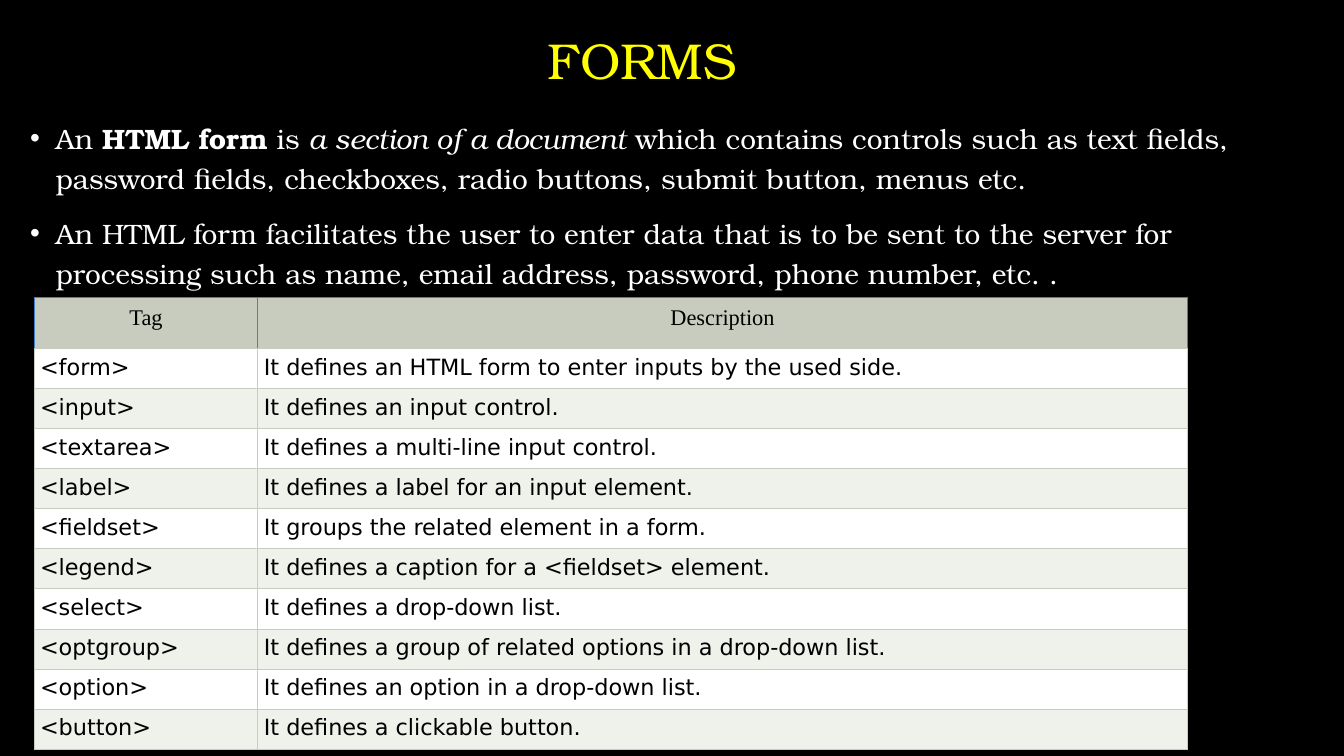
from dataclasses import dataclass

from lxml.etree import SubElement as Sub
from pptx import Presentation
from pptx.dml.color import RGBColor
from pptx.enum.text import MSO_AUTO_SIZE as Fit, PP_ALIGN as Align
from pptx.oxml.ns import qn
from pptx.util import Cm, Pt

BLACK = RGBColor(0, 0, 0)
WHITE = RGBColor(255, 255, 255)
YELLOW = RGBColor(255, 255, 0)
SAGE = RGBColor(0xC7, 0xCC, 0xBE)
PALE = RGBColor(0xEF, 0xF1, 0xEB)
BLUE = RGBColor(0x40, 0x80, 0xCC)
BONUM = "TeX Gyre Bonum"
SANS = "DejaVu Sans"
TIMES = "Times New Roman"


@dataclass
class Span:
    text: str
    bold: bool = False
    slant: bool = False


@dataclass
class Look:
    face: str
    size: float
    color: RGBColor


@dataclass
class Kind:
    look: Look
    inset: float
    align: Align
    edge: RGBColor


@dataclass
class Tag:
    name: str
    note: str


HEAD = Kind(Look(TIMES, 16, BLACK), 0.2, Align.CENTER, BLUE)
ENTRY = Kind(Look(SANS, 16, BLACK), 0.15, Align.LEFT, SAGE)
TITLE = Look(BONUM, 36, YELLOW)
BODY = Look(BONUM, 20, WHITE)

POINTS = [
    [
        Span("An "),
        Span("HTML form", bold=True),
        Span(" is "),
        Span("a section of a document", slant=True),
        Span(" which contains controls such as text fields, password fields, "
             "checkboxes, radio buttons, submit button, menus etc."),
    ],
    [
        Span("An HTML form facilitates the user to enter data that is to be sent "
             "to the server for processing such as name, email address, password, "
             "phone number, etc. ."),
    ],
]

TAGS = [
    Tag("<form>", "It defines an HTML form to enter inputs by the used side."),
    Tag("<input>", "It defines an input control."),
    Tag("<textarea>", "It defines a multi-line input control."),
    Tag("<label>", "It defines a label for an input element."),
    Tag("<fieldset>", "It groups the related element in a form."),
    Tag("<legend>", "It defines a caption for a <fieldset> element."),
    Tag("<select>", "It defines a drop-down list."),
    Tag("<optgroup>", "It defines a group of related options in a drop-down list."),
    Tag("<option>", "It defines an option in a drop-down list."),
    Tag("<button>", "It defines a clickable button."),
]


def style(run, look: Look) -> None:
    run.font.name = look.face
    run.font.size = Pt(look.size)
    run.font.color.rgb = look.color


def add_title(slide) -> None:
    frame = slide.shapes.add_textbox(Cm(4.04), Cm(0.61), Cm(24.28), Cm(1.8)).text_frame
    frame.word_wrap = True
    frame.auto_size = Fit.SHAPE_TO_FIT_TEXT
    frame.text = "FORMS"
    para = frame.paragraphs[0]
    para.alignment = Align.CENTER
    style(para.runs[0], TITLE)


def add_point(para, spans: list[Span], gap: float) -> None:
    props = para._p.get_or_add_pPr()
    props.set("marL", str(Cm(0.64)))
    props.set("indent", str(-Cm(0.64)))
    Sub(props, qn("a:buClr")).append(props.makeelement(qn("a:srgbClr"), {"val": str(WHITE)}))
    Sub(props, qn("a:buFont"), typeface="Arial")
    Sub(props, qn("a:buChar"), char="•")
    para.line_spacing = 1.2
    para.space_before = Pt(gap)
    for span in spans:
        run = para.add_run()
        run.text = span.text
        style(run, BODY)
        run.font.bold = span.bold
        run.font.italic = span.slant


def add_body(slide) -> None:
    frame = slide.shapes.add_textbox(Cm(0.51), Cm(2.77), Cm(32.44), Cm(15.54)).text_frame
    frame.word_wrap = True
    for i, spans in enumerate(POINTS):
        para = frame.add_paragraph() if i else frame.paragraphs[0]
        add_point(para, spans, 10 if i else 0)


def fill_cell(cell, text: str, kind: Kind, fill: RGBColor) -> None:
    cell.text = text
    cell.margin_left = cell.margin_right = Cm(kind.inset)
    cell.margin_top = cell.margin_bottom = Cm(kind.inset)
    para = cell.text_frame.paragraphs[0]
    para.alignment = kind.align
    style(para.runs[0], kind.look)
    props = cell._tc.get_or_add_tcPr()
    for side in "LRTB":
        line = Sub(props, qn(f"a:ln{side}"), w=str(Pt(0.75)))
        color = SAGE if side == "B" else kind.edge
        Sub(Sub(line, qn("a:solidFill")), qn("a:srgbClr"), val=str(color))
    cell.fill.solid()
    cell.fill.fore_color.rgb = fill


def add_tags(slide) -> None:
    rows = [Tag("Tag", "Description"), *TAGS]
    table = slide.shapes.add_table(
        len(rows), 2, Cm(0.86), Cm(7.49), Cm(29.06), Cm(11.39)).table
    table.first_row = False
    table.horz_banding = False
    for col, width in zip(table.columns, (5.64, 23.42)):
        col.width = Cm(width)
    for i, tag in enumerate(rows):
        table.rows[i].height = Cm(1.01 if i else 1.29)
        kind = ENTRY if i else HEAD
        fill = (WHITE if i % 2 else PALE) if i else SAGE
        for j, text in enumerate((tag.name, tag.note)):
            fill_cell(table.cell(i, j), text, kind, fill)


def main() -> None:
    deck = Presentation()
    deck.slide_width = Cm(33.87)
    deck.slide_height = Cm(19.05)
    slide = deck.slides.add_slide(deck.slide_layouts[6])
    slide.background.fill.solid()
    slide.background.fill.fore_color.rgb = BLACK
    add_title(slide)
    add_body(slide)
    add_tags(slide)
    deck.save("out.pptx")


if __name__ == "__main__":
    main()
